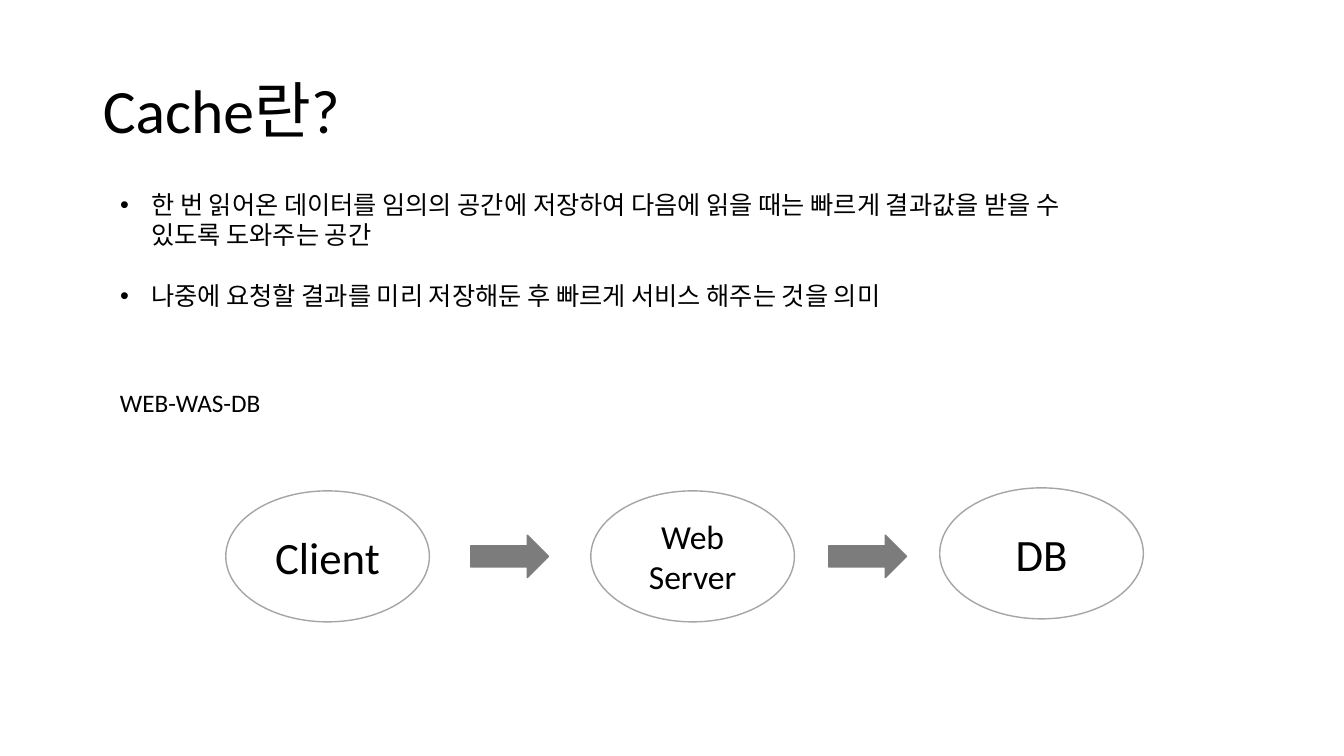
from pptx import Presentation
from pptx.dml.color import RGBColor as Rgb
from pptx.enum.shapes import MSO_SHAPE as Kind
from pptx.enum.text import MSO_ANCHOR as Anchor, MSO_AUTO_SIZE as Fit, PP_ALIGN as Align
from pptx.oxml.ns import qn
from pptx.util import Inches, Pt
from lxml.etree import SubElement

WIDE, HIGH = Inches(13.33), Inches(7.5)
FONT = "Calibri"
HUES = {"ink": "000000", "paper": "FFFFFF", "rim": "A5A5A5", "arrow": "7C7C7C"}
INDENT = Inches(0.31)


def hue(name):
    return Rgb.from_string(HUES[name])


def area(x, y, w, h):
    """Turn percentages of the slide's size into lengths."""
    return [int(side * part / 100) for side, part in
            zip((WIDE, HIGH, WIDE, HIGH), (x, y, w, h))]


def move(item, box):
    item.left, item.top, item.width, item.height = area(*box)


def write(item, *lines, size=18, align=Align.LEFT, anchor=Anchor.TOP,
          lead=1.0, gap=0, fit=Fit.NONE):
    """Fill an item with one paragraph per line; gap parts the paragraphs."""
    frame = item.text_frame
    frame.word_wrap = True
    frame.auto_size = fit
    frame.vertical_anchor = anchor
    frame.text = "\n".join(lines)
    for i, para in enumerate(frame.paragraphs):
        para.alignment = align
        para.line_spacing = lead
        para.space_before = Pt(gap if i else 0)
        para.font.name = FONT
        para.font.size = Pt(size)
        para.font.color.rgb = hue("ink")
    return frame


def bullet(frame):
    for para in frame.paragraphs:
        props = para._p.get_or_add_pPr()
        props.set("marL", str(INDENT))
        props.set("indent", str(-INDENT))
        SubElement(props, qn("a:buFont")).set("typeface", "Arial")
        SubElement(props, qn("a:buChar")).set("char", "•")


def shape(slide, kind, box, fill, line):
    item = slide.shapes.add_shape(kind, *area(*box))
    item.shadow.inherit = False
    item.fill.solid()
    item.fill.fore_color.rgb = hue(fill)
    item.line.color.rgb = hue(line)
    item.line.width = Pt(1)
    return item


def node(slide, text, x, y, size):
    item = shape(slide, Kind.OVAL, (x, y, 15.15, 17.33), "paper", "rim")
    write(item, text, size=size, align=Align.CENTER, anchor=Anchor.MIDDLE)


def arrow(slide, x):
    shape(slide, Kind.RIGHT_ARROW, (x, 70.8, 5.78, 5.6), "arrow", "arrow")


def main():
    deck = Presentation()
    deck.slide_width, deck.slide_height = WIDE, HIGH
    slide = deck.slides.add_slide(deck.slide_layouts[1])

    # Title and definition
    title, body = slide.placeholders
    move(title, (6.9, 5.33, 86.25, 19.33))
    write(title, "Cache란?", size=44, anchor=Anchor.MIDDLE, lead=0.9)
    move(body, (8.18, 24.4, 76.9, 21.6))
    bullet(write(
        body,
        "한 번 읽어온 데이터를 임의의 공간에 저장하여 다음에 읽을 때는 "
        "빠르게 결과값을 받을 수 있도록 도와주는 공간",
        "나중에 요청할 결과를 미리 저장해둔 후 빠르게 서비스 해주는 것을 의미",
        gap=22))

    # Heading of the flow
    label = slide.shapes.add_textbox(*area(8.18, 50.53, 15, 5.33))
    write(label, "WEB-WAS-DB", fit=Fit.SHAPE_TO_FIT_TEXT)

    # Flow from client to database
    for text, x, y, size in (("Client", 16.8, 64.93, 32),
                             ("Web Server", 43.96, 64.93, 24),
                             ("DB", 69.92, 64.53, 32)):
        node(slide, text, x, y, size)
    for x in (35.03, 61.67):
        arrow(slide, x)

    deck.save("out.pptx")


if __name__ == "__main__":
    main()
